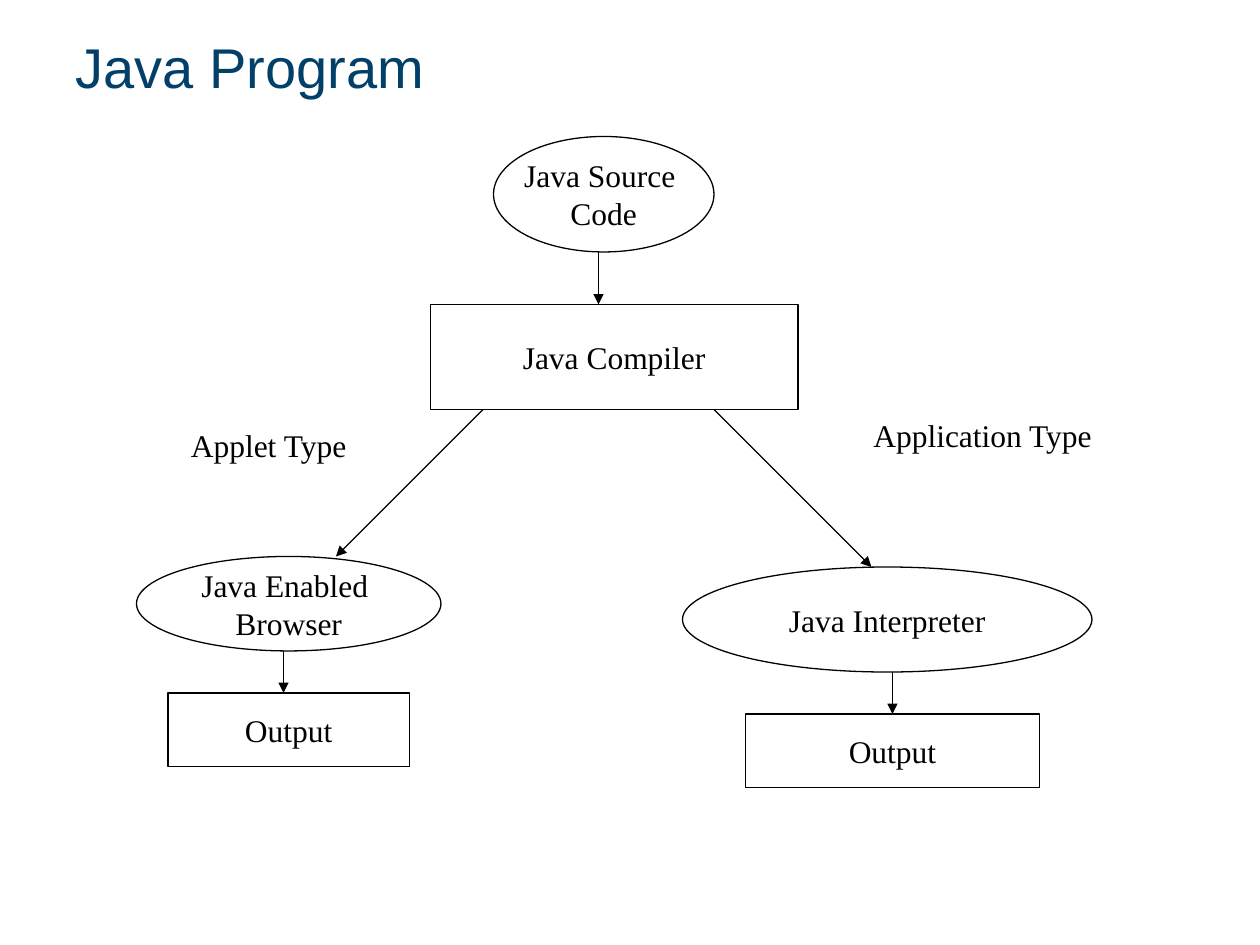
from lxml import etree
from pptx import Presentation
from pptx.dml.color import RGBColor
from pptx.enum.shapes import MSO_CONNECTOR, MSO_SHAPE
from pptx.enum.text import MSO_ANCHOR, PP_ALIGN
from pptx.oxml.ns import qn
from pptx.util import Pt

PX = 7620
OVAL, BOX = MSO_SHAPE.OVAL, MSO_SHAPE.RECTANGLE
STRAIGHT = MSO_CONNECTOR.STRAIGHT
MIDDLE = MSO_ANCHOR.MIDDLE
LEFT, CENTER = PP_ALIGN.LEFT, PP_ALIGN.CENTER
COLORS = {"title": "024069", "ink": "000000", "paper": "FFFFFF"}


def color(key):
    return RGBColor.from_string(COLORS[key])


def style_text(frame, align, size=18, font="Times New Roman", ink="ink"):
    for paragraph in frame.paragraphs:
        paragraph.alignment = align
        for run in paragraph.runs:
            run.font.size = Pt(size)
            run.font.name = font
            run.font.color.rgb = color(ink)


prs = Presentation()
prs.slide_width, prs.slide_height = 1200 * PX, 900 * PX
slide = prs.slides.add_slide(prs.slide_layouts[5])

title = slide.shapes.title
title.left, title.top, title.width, title.height = 60 * PX, 25 * PX, 1079 * PX, 75 * PX
title.text_frame.text = "Java Program"
title.text_frame.vertical_anchor = MIDDLE
style_text(title.text_frame, LEFT, 32, "Arial", "title")

steps = [
    (OVAL, 470, 130, 210, 110, "Java Source \nCode"),
    (BOX, 410, 290, 350, 100, "Java Compiler"),
    (OVAL, 130, 530, 290, 90, "Java Enabled \nBrowser"),
    (OVAL, 650, 540, 390, 100, "Java Interpreter"),
    (BOX, 160, 660, 230, 70, "Output"),
    (BOX, 710, 680, 280, 70, "Output"),
]
for outline, left, top, width, height, text in steps:
    step = slide.shapes.add_shape(outline, left * PX, top * PX, width * PX, height * PX)
    step.shadow.inherit = False
    step.fill.solid()
    step.fill.fore_color.rgb = color("paper")
    step.line.color.rgb = color("ink")
    step.line.width = Pt(0.75)
    step.text_frame.text = text
    step.text_frame.word_wrap = False
    step.text_frame.vertical_anchor = MIDDLE
    style_text(step.text_frame, CENTER)

flows = [
    (570, 240, 570, 290),
    (460, 390, 320, 530),
    (680, 390, 830, 540),
    (270, 620, 270, 660),
    (850, 640, 850, 680),
]
for start_x, start_y, end_x, end_y in flows:
    arrow = slide.shapes.add_connector(
        STRAIGHT, start_x * PX, start_y * PX, end_x * PX, end_y * PX
    )
    arrow.line.color.rgb = color("ink")
    arrow.line.width = Pt(0.75)
    etree.SubElement(arrow.line._get_or_add_ln(), qn("a:tailEnd"), type="triangle")
    etree.SubElement(arrow._element.spPr, qn("a:effectLst"))

program_types = [
    (820, 390, 310, "Application Type"),
    (170, 400, 190, "Applet Type"),
]
for left, top, width, text in program_types:
    label = slide.shapes.add_textbox(left * PX, top * PX, width * PX, 48 * PX)
    label.text_frame.text = text
    label.text_frame.word_wrap = True
    style_text(label.text_frame, LEFT)

prs.save("out.pptx")
